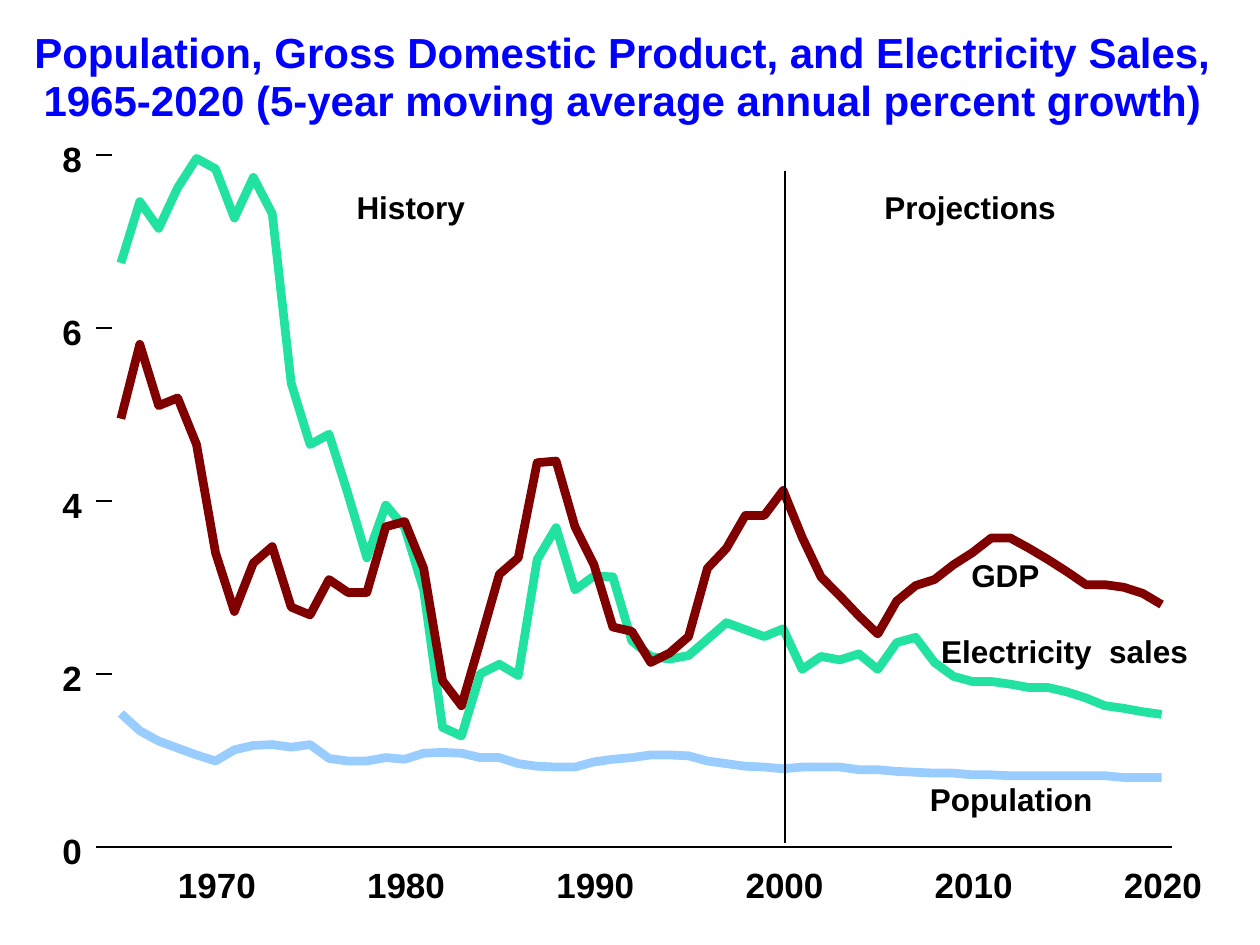
from lxml.etree import SubElement
from pptx import Presentation
from pptx.dml.color import RGBColor
from pptx.enum.shapes import MSO_CONNECTOR as Connector
from pptx.enum.text import MSO_ANCHOR as Anchor, MSO_AUTO_SIZE as AutoSize, PP_ALIGN as Align
from pptx.oxml.ns import qn
from pptx.util import Inches, Pt

FIRST_YEAR, LAST_YEAR = 1965, 2020
PLOT_LEFT, PLOT_RIGHT = 0.96, 9.22
ZERO_LEVEL, TOP_LEVEL, TOP_GROWTH = 6.72, 1.23, 8
TICK_LEFT, AXIS_LEFT, AXIS_RIGHT = 0.76, 0.89, 9.3
BLACK, BLUE = "000000", "0000FF"

HEADING = [
    "Population, Gross Domestic Product, and Electricity Sales,",
    "1965-2020 (5-year moving average annual percent growth)",
]

POPULATION = [
    1.54, 1.34, 1.22, 1.14, 1.06, 0.99, 1.12, 1.17, 1.18, 1.15, 1.18, 1.02, 0.99, 0.99,
    1.03, 1.01, 1.08, 1.09, 1.08, 1.03, 1.03, 0.96, 0.93, 0.92, 0.92, 0.98, 1.01, 1.03,
    1.06, 1.06, 1.05, 0.99, 0.96, 0.93, 0.92, 0.9, 0.92, 0.92, 0.92, 0.89, 0.89, 0.87,
    0.86, 0.85, 0.85, 0.83, 0.83, 0.82, 0.82, 0.82, 0.82, 0.82, 0.82, 0.8, 0.8, 0.8,
]
ELECTRICITY = [
    6.75, 7.46, 7.15, 7.62, 7.96, 7.84, 7.27, 7.74, 7.32, 5.36, 4.65, 4.77, 4.08, 3.34,
    3.95, 3.69, 2.97, 1.38, 1.28, 2.0, 2.11, 1.98, 3.32, 3.69, 2.97, 3.13, 3.12, 2.38,
    2.2, 2.17, 2.21, 2.4, 2.59, 2.51, 2.43, 2.52, 2.05, 2.2, 2.16, 2.23, 2.05, 2.36,
    2.42, 2.13, 1.97, 1.91, 1.91, 1.88, 1.84, 1.84, 1.79, 1.72, 1.63, 1.6, 1.56, 1.53,
]
GDP = [
    4.95, 5.81, 5.1, 5.19, 4.65, 3.4, 2.72, 3.28, 3.47, 2.77, 2.68, 3.09, 2.94, 2.94,
    3.7, 3.76, 3.22, 1.92, 1.63, 2.38, 3.15, 3.34, 4.44, 4.46, 3.7, 3.26, 2.54, 2.49,
    2.13, 2.24, 2.43, 3.22, 3.45, 3.83, 3.83, 4.12, 3.58, 3.12, 2.9, 2.67, 2.46, 2.84,
    3.02, 3.09, 3.26, 3.4, 3.57, 3.57, 3.45, 3.32, 3.18, 3.03, 3.03, 3.0, 2.93, 2.8,
]
SERIES = [(POPULATION, "99CCFF"), (ELECTRICITY, "22E2A1"), (GDP, "800000")]

CAPTIONS = [
    ("History", 2.82, 1.49, 0.88),
    ("Projections", 7.01, 1.49, 1.38),
    ("Population", 7.37, 6.19, 1.31),
    ("Electricity  sales", 7.46, 5.02, 1.98),
    ("GDP", 7.7, 4.41, 0.56),
]


def colour(code):
    """Turn a hex string into a colour."""
    return RGBColor.from_string(code)


def set_all(target, formats):
    """Set every attribute named in a dict of format values."""
    for name, value in formats.items():
        setattr(target, name, value)


def year_x(year):
    """Give the horizontal position of a year in inches."""
    share = (year - FIRST_YEAR) / (LAST_YEAR - FIRST_YEAR)
    return PLOT_LEFT + share * (PLOT_RIGHT - PLOT_LEFT)


def growth_y(percent):
    """Give the vertical position of a growth rate in inches."""
    return ZERO_LEVEL - percent / TOP_GROWTH * (ZERO_LEVEL - TOP_LEVEL)


def write(frame, lines, size, code=BLACK, align=Align.CENTER, spacing=None):
    """Fill a text frame with bold Arial lines."""
    set_all(frame, {"margin_left": 0, "margin_top": 0, "margin_right": 0,
                    "margin_bottom": 0, "word_wrap": False,
                    "auto_size": AutoSize.SHAPE_TO_FIT_TEXT,
                    "vertical_anchor": Anchor.TOP})
    frame.text = "\n".join(lines)
    for paragraph in frame.paragraphs:
        set_all(paragraph, {"alignment": align, "line_spacing": spacing})
        set_all(paragraph.font, {"name": "Arial", "size": Pt(size), "bold": True})
        paragraph.font.color.rgb = colour(code)


def add_heading(slide):
    """Place the two-line title."""
    title = slide.shapes.title
    set_all(title, {"left": Inches(0.27), "top": Inches(0.24),
                    "width": Inches(9.34), "height": Inches(0.76)})
    write(title.text_frame, HEADING, 24, BLUE, spacing=0.95)


def add_label(slide, text, left, top, width, size=18, align=Align.CENTER):
    """Place a one-line label."""
    label = slide.shapes.add_textbox(
        Inches(left), Inches(top), Inches(width), Inches(size / 60))
    write(label.text_frame, [text], size, align=align)


def add_rule(slide, start, end, weight=1):
    """Draw a thin black line between two points."""
    rule = slide.shapes.add_connector(
        Connector.STRAIGHT, *(Inches(length) for length in (*start, *end)))
    rule.line.width = Pt(weight)
    rule.line.color.rgb = colour(BLACK)
    SubElement(rule.element.spPr, qn("a:effectLst"))


def add_curve(slide, rates, code):
    """Draw a yearly growth series as an open outline."""
    points = [(Inches(year_x(year)), Inches(growth_y(rate)))
              for year, rate in enumerate(rates, FIRST_YEAR)]
    outline = slide.shapes.build_freeform(*points[0])
    outline.add_line_segments(points[1:], close=False)
    curve = outline.convert_to_shape()
    curve.shadow.inherit = False
    curve.fill.background()
    curve.line.width = Pt(5)
    curve.line.color.rgb = colour(code)


def add_axes(slide):
    """Draw the ticks, the base line and the axis labels."""
    for percent in range(0, TOP_GROWTH + 1, 2):
        level = growth_y(percent)
        add_rule(slide, (TICK_LEFT, level), (AXIS_LEFT, level))
        add_label(slide, str(percent), 0.49, level - 0.14, 0.16, 20, Align.RIGHT)
    add_rule(slide, (AXIS_LEFT, ZERO_LEVEL), (AXIS_RIGHT, ZERO_LEVEL))
    for year in range(1970, LAST_YEAR + 1, 10):
        add_label(slide, str(year), year_x(year) - 0.3, 6.85, 0.62, 20)


def main():
    """Build and save the slide."""
    deck = Presentation()
    set_all(deck, {"slide_width": Inches(10), "slide_height": Inches(7.5)})
    slide = deck.slides.add_slide(deck.slide_layouts[5])
    for rates, code in SERIES:
        add_curve(slide, rates, code)
    add_axes(slide)
    for caption in CAPTIONS:
        add_label(slide, *caption)
    add_heading(slide)
    add_rule(slide, (6.23, 1.36), (6.23, 6.69), 0.75)
    deck.save("out.pptx")


if __name__ == "__main__":
    main()
